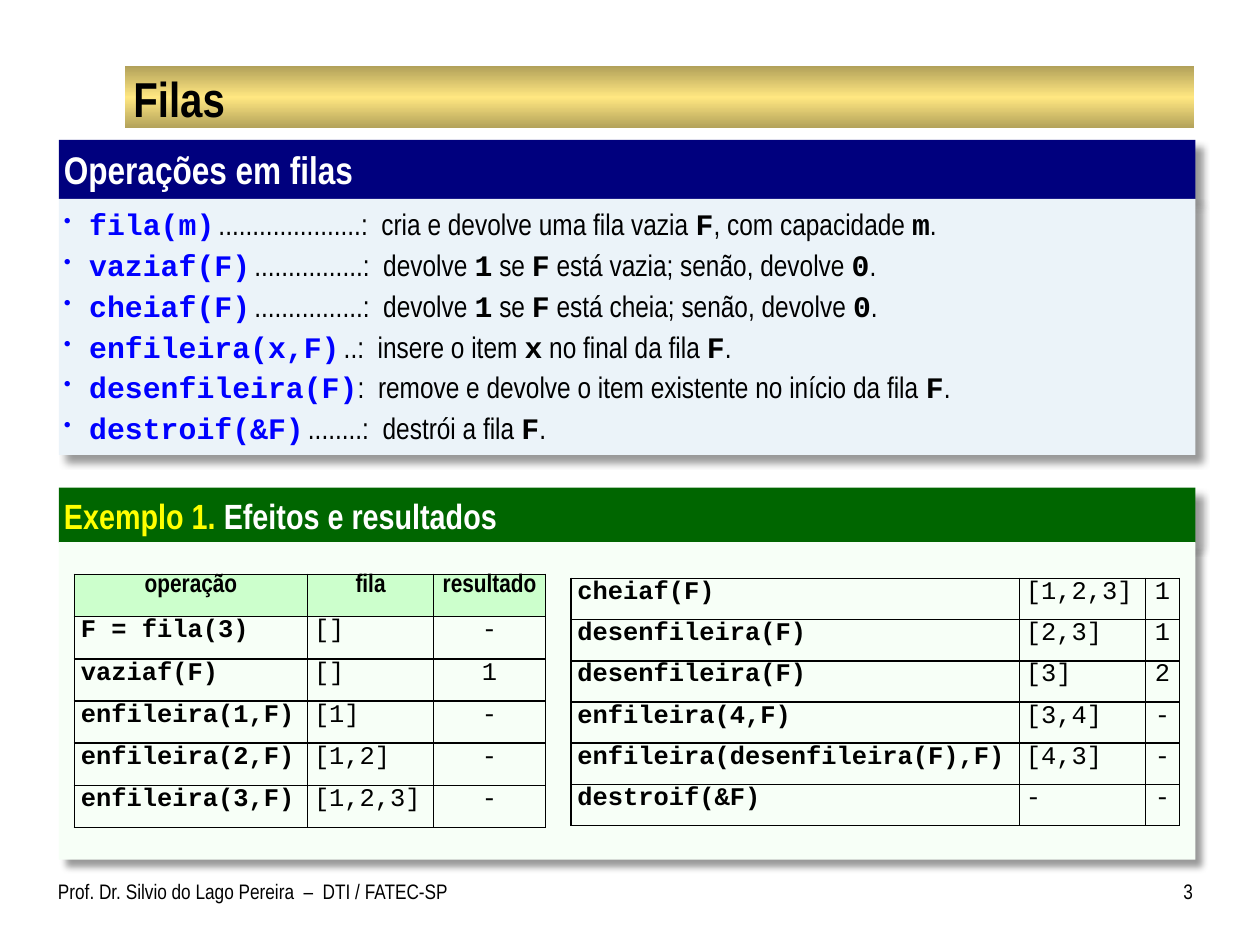
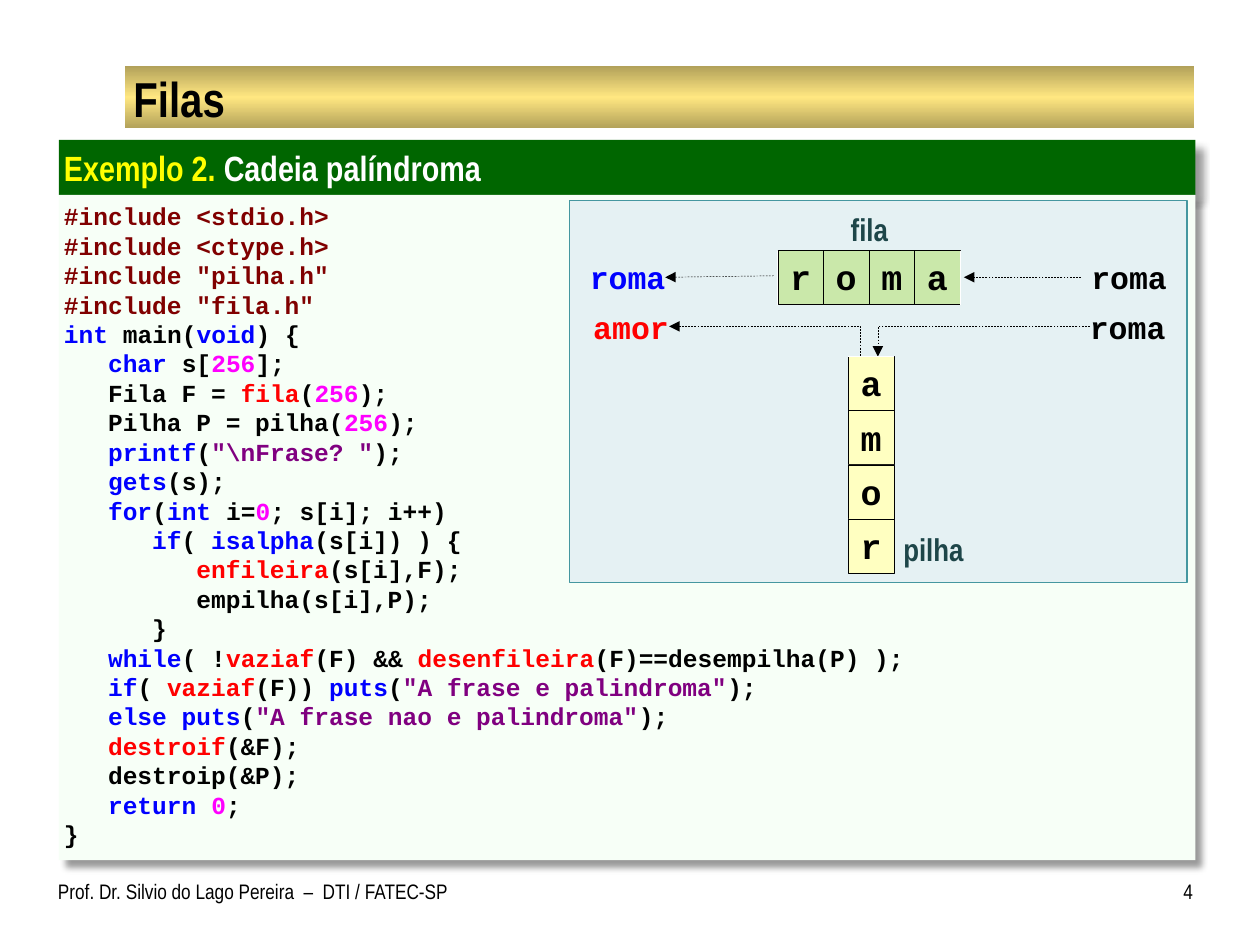
"""Builds two lecture slides about queues: operations with results, and a palindrome test."""
from dataclasses import dataclass, replace

from lxml.etree import SubElement
from pptx import Presentation
from pptx.dml.color import RGBColor
from pptx.enum.dml import MSO_LINE
from pptx.enum.shapes import MSO_CONNECTOR, MSO_SHAPE
from pptx.enum.text import MSO_ANCHOR, PP_ALIGN
from pptx.oxml.ns import qn
from pptx.util import Cm, Pt

BLACK = RGBColor(0x00, 0x00, 0x00)
WHITE = RGBColor(0xFF, 0xFF, 0xFF)
YELLOW = RGBColor(0xFF, 0xFF, 0x00)
BLUE = RGBColor(0x00, 0x00, 0xFF)
RED = RGBColor(0xFF, 0x00, 0x00)
MAGENTA = RGBColor(0xFF, 0x00, 0xFF)
PURPLE = RGBColor(0x80, 0x00, 0x80)
MAROON = RGBColor(0x80, 0x00, 0x00)
NAVY = RGBColor(0x00, 0x00, 0x7E)
PALE_BLUE = RGBColor(0xEB, 0xF3, 0xF9)
GREEN = RGBColor(0x00, 0x66, 0x00)
PALE_GREEN = RGBColor(0xF7, 0xFF, 0xF7)
HEADING_GREEN = RGBColor(0xCC, 0xFF, 0xCC)
DIAGRAM_FILL = RGBColor(0xE5, 0xF1, 0xF3)
DIAGRAM_LINE = RGBColor(0x45, 0x97, 0xA0)
DIAGRAM_TEXT = RGBColor(0x1E, 0x46, 0x49)
QUEUE_FILL = RGBColor(0xCA, 0xE8, 0xAA)
STACK_FILL = RGBColor(0xFF, 0xFF, 0xC1)
GOLD = RGBColor(0xFF, 0xE7, 0x81)
GOLD_SHADES = ((0, 70), (50, 100), (100, 70))

PANEL_LEFT, PANEL_WIDTH = 1.19, 22.91
CELL_WIDTH, CELL_HEIGHT = 0.92, 1.09
LABEL_WIDTH, LABEL_HEIGHT = 1.8, 0.76
CODE_INDENT = 0.89


@dataclass(frozen=True)
class Box:
    """Position and size in centimetres."""
    left: float
    top: float
    width: float
    height: float

    def lengths(self) -> tuple:
        return Cm(self.left), Cm(self.top), Cm(self.width), Cm(self.height)


@dataclass(frozen=True)
class TextStyle:
    """Font settings of a stretch of text."""
    name: str
    size: float
    color: RGBColor = BLACK
    bold: bool = False


@dataclass(frozen=True)
class Arrow:
    """Dashed arrow, straight or with one bend, pointing at its end or its start."""
    start: tuple[float, float]
    end: tuple[float, float]
    bent: bool = False
    head: str = "tailEnd"


@dataclass(frozen=True)
class Label:
    """Free word in the diagram."""
    text: str
    left: float
    top: float
    style: TextStyle


@dataclass(frozen=True)
class Grid:
    """Table of operations; its columns are in centimetres."""
    left: float
    top: float
    columns: tuple[float, ...]
    row_height: float
    rows: tuple[tuple[str, ...], ...]
    has_heading: bool = False


TITLE = TextStyle("Arial Narrow", 28, bold=True)
SECTION = TextStyle("Arial Narrow", 22, WHITE, True)
EXAMPLE = TextStyle("Arial Narrow", 20, WHITE, True)
FOOTER = TextStyle("Arial Narrow", 12)
BODY = TextStyle("Arial Narrow", 17)
BODY_CODE = TextStyle("Courier New", 17, bold=True)
CODE = TextStyle("Courier New", 14, bold=True)
TABLE_HEADING = TextStyle("Arial Narrow", 14.5, bold=True)
TABLE_CODE = TextStyle("Courier New", 14.5, bold=True)
WORD = TextStyle("Courier New", 18, bold=True)
CAPTION = TextStyle("Arial Narrow", 18, DIAGRAM_TEXT, True)
LETTER = TextStyle("Courier New", 20, bold=True)

EXAMPLE_MARKS = {"y": replace(EXAMPLE, color=YELLOW)}
BODY_MARKS = {"c": BODY_CODE, "b": replace(BODY_CODE, color=BLUE), "s": replace(BODY, size=10)}
CODE_MARKS = {"b": replace(CODE, color=BLUE), "n": replace(CODE, color=MAGENTA),
              "f": replace(CODE, color=RED), "s": replace(CODE, color=PURPLE),
              "p": replace(CODE, color=MAROON)}

OPERATIONS = (
    "`bfila(m)``s `.....................:  cria e devolve uma fila vazia `cF`, com capacidade `cm`.",
    "`bvaziaf(F)``s `................:  devolve `c1` se `cF` está vazia; senão, devolve `c0`.",
    "`bcheiaf(F)``s `................:  devolve `c1` se `cF` está cheia; senão, devolve `c0`.",
    "`benfileira(x,F)``s `..:  insere o item `cx` no final da fila `cF`.",
    "`bdesenfileira(F)`:  remove e devolve o item existente no início da fila `cF`.",
    "`bdestroif(&F)``s `........:  destrói a fila `cF`.",
)
GRIDS = (
    Grid(1.5, 11.58, (4.7, 2.54, 2.26), 0.85, (
        ("operação", "fila", "resultado"),
        ("F = fila(3)", "[]", "-"),
        ("vaziaf(F)", "[]", "1"),
        ("enfileira(1,F)", "[1]", "-"),
        ("enfileira(2,F)", "[1,2]", "-"),
        ("enfileira(3,F)", "[1,2,3]", "-")), True),
    Grid(11.51, 11.66, (9.04, 2.54, 0.69), 0.83, (
        ("cheiaf(F)", "[1,2,3]", "1"),
        ("desenfileira(F)", "[2,3]", "1"),
        ("desenfileira(F)", "[3]", "2"),
        ("enfileira(4,F)", "[3,4]", "-"),
        ("enfileira(desenfileira(F),F)", "[4,3]", "-"),
        ("destroif(&F)", "-", "-"))),
)
PROGRAM = (
    (0, "`p#include <stdio.h>`"),
    (0, "`p#include <ctype.h>`"),
    (0, '`p#include "pilha.h"`'),
    (0, '`p#include "fila.h"`'),
    (0, "`bint` main(`bvoid`) {"),
    (1, "`bchar` s[`n256`];"),
    (1, "Fila F = `ffila`(`n256`);"),
    (1, "Pilha P = pilha(`n256`);"),
    (1, '`bprintf`(`s"\\nFrase? "`);'),
    (1, "`bgets`(s);"),
    (1, "`bfor`(`bint `i=`n0`; s[i]; i++)"),
    (2, "`bif`( `bisalpha`(s[i]) ) {"),
    (3, "`fenfileira`(s[i],F);"),
    (3, "empilha(s[i],P);"),
    (2, "}"),
    (1, "`bwhile`( !`fvaziaf`(F) && `fdesenfileira`(F)==desempilha(P) );"),
    (1, '`bif`( `fvaziaf`(F)) `bputs`(`s"A frase e palindroma"`);'),
    (1, '`belse puts`(`s"A frase nao e palindroma"`);'),
    (1, "`fdestroif`(&F);"),
    (1, "destroip(&P);"),
    (1, "`breturn ``n0`;"),
    (0, "}"),
)
LABELS = (
    Label("roma", 22, 5.21, WORD),
    Label("roma", 11.89, 5.21, replace(WORD, color=BLUE)),
    Label("amor", 11.96, 6.2, replace(WORD, color=RED)),
    Label("roma", 21.97, 6.2, WORD),
    Label("pilha", 18.21, 10.69, CAPTION),
    Label("fila", 17.15, 4.24, CAPTION),
)
ARROWS = (
    Arrow((15.6, 5.56), (13.41, 5.59)),
    Arrow((21.79, 5.59), (19.43, 5.59)),
    Arrow((13.49, 6.58), (17.35, 7.19), bent=True, head="headEnd"),
    Arrow((21.97, 6.58), (17.7, 7.19), bent=True),
)


def add_element(parent, tag: str, **attributes):
    return SubElement(parent, qn(tag), {key: str(value) for key, value in attributes.items()})


def set_font(font, style: TextStyle) -> None:
    font.name, font.size, font.bold = style.name, Pt(style.size), style.bold
    font.color.rgb = style.color


def write(paragraph, text: str, style: TextStyle, marks: dict | None = None) -> None:
    pieces = text.split("`")
    if len(pieces) == 1:
        paragraph.text = text
        set_font(paragraph.font, style)
        return
    for index, piece in enumerate(pieces):
        if piece:
            run = paragraph.add_run()
            run.text = piece[1:] if index % 2 else piece
            set_font(run.font, marks[piece[0]] if index % 2 else style)


def set_frame(shape, insets: tuple, anchor=MSO_ANCHOR.TOP, wrap: bool = True):
    frame = shape.text_frame
    frame.margin_left, frame.margin_top, frame.margin_right, frame.margin_bottom = map(Cm, insets)
    frame.vertical_anchor, frame.word_wrap = anchor, wrap
    frame.paragraphs[0].alignment = PP_ALIGN.LEFT
    return frame


def next_paragraph(frame, index: int):
    paragraph = frame.add_paragraph() if index else frame.paragraphs[0]
    paragraph.alignment = PP_ALIGN.LEFT
    return paragraph


def add_rectangle(slide, box: Box, fill: RGBColor, line: RGBColor | None = None, width: float = 0.75):
    shape = slide.shapes.add_shape(MSO_SHAPE.RECTANGLE, *box.lengths())
    shape.shadow.inherit = False
    shape.fill.solid()
    shape.fill.fore_color.rgb = fill
    if line is None:
        shape.line.fill.background()
    else:
        shape.line.color.rgb, shape.line.width = line, Pt(width)
    return shape


def add_text(slide, box: Box, text: str, style: TextStyle, insets: tuple, wrap: bool = True):
    frame = set_frame(slide.shapes.add_textbox(*box.lengths()), insets, wrap=wrap)
    write(frame.paragraphs[0], text, style)
    return frame.paragraphs[0]


def add_panel(slide, top: float, height: float, fill: RGBColor):
    shape = add_rectangle(slide, Box(PANEL_LEFT, top, PANEL_WIDTH, height), fill)
    shadow = add_element(shape._element.spPr.find(qn("a:effectLst")), "a:outerShdw",
                         blurRad=Pt(4), dist=Pt(6), dir=45 * 60000, algn="tl", rotWithShape=0)
    add_element(add_element(shadow, "a:srgbClr", val=BLACK), "a:alpha", val=40000)
    return set_frame(shape, (0.1, 0.13, 0.1, 0.13))


def add_example_header(slide, top: float, text: str) -> None:
    write(add_panel(slide, top, 1.11, GREEN).paragraphs[0], text, EXAMPLE, EXAMPLE_MARKS)


def add_line(slide, start: tuple, end: tuple, color: RGBColor, width: float, kind=MSO_CONNECTOR.STRAIGHT):
    connector = slide.shapes.add_connector(kind, *map(Cm, (*start, *end)))
    connector.line.color.rgb, connector.line.width = color, Pt(width)
    add_element(connector._element.spPr, "a:effectLst")
    return connector


def add_arrow(slide, arrow: Arrow) -> None:
    kind = MSO_CONNECTOR.ELBOW if arrow.bent else MSO_CONNECTOR.STRAIGHT
    connector = add_line(slide, arrow.start, arrow.end, BLACK, 0.25, kind)
    connector.line.dash_style = MSO_LINE.DASH
    properties = connector._element.spPr
    if arrow.bent:
        properties.find(qn("a:prstGeom")).set("prst", "bentConnector2")
    add_element(properties.find(qn("a:ln")), f"a:{arrow.head}", type="triangle")


def add_letter(slide, left: float, top: float, letter: str, fill: RGBColor) -> None:
    shape = add_rectangle(slide, Box(left, top, CELL_WIDTH, CELL_HEIGHT), fill, BLACK, 0.25)
    paragraph = set_frame(shape, (0, 0.05, 0, 0.08), MSO_ANCHOR.MIDDLE).paragraphs[0]
    write(paragraph, letter, LETTER)
    paragraph.alignment = PP_ALIGN.CENTER


def fill_cell(cell, text: str, column: int, heading: bool) -> None:
    cell.margin_left = cell.margin_right = Cm(0.13)
    cell.margin_top = cell.margin_bottom = 0
    paragraph = cell.text_frame.paragraphs[0]
    paragraph.alignment = PP_ALIGN.CENTER if heading or column == 2 else PP_ALIGN.LEFT
    paragraph.space_before = Pt(1 if heading else 2)
    write(paragraph, text, TABLE_HEADING if heading else replace(TABLE_CODE, bold=column == 0))
    for side in "LRTB":
        border = add_element(cell._tc.get_or_add_tcPr(), f"a:ln{side}", w=Pt(1))
        add_element(add_element(border, "a:solidFill"), "a:srgbClr", val=BLACK)
    if heading:
        cell.fill.solid()
        cell.fill.fore_color.rgb = HEADING_GREEN
    else:
        cell.fill.background()


def add_grid(slide, grid: Grid) -> None:
    box = Box(grid.left, grid.top, sum(grid.columns), grid.row_height * len(grid.rows))
    table = slide.shapes.add_table(len(grid.rows), len(grid.columns), *box.lengths()).table
    table.first_row = table.horz_banding = False
    for column, width in zip(table.columns, grid.columns):
        column.width = Cm(width)
    for row_index, texts in enumerate(grid.rows):
        table.rows[row_index].height = Cm(grid.row_height)
        for column_index, text in enumerate(texts):
            fill_cell(table.cell(row_index, column_index), text, column_index,
                      grid.has_heading and row_index == 0)


def add_gold_band(slide) -> None:
    band = add_rectangle(slide, Box(2.52, 1.33, 21.55, 1.26), GOLD)
    band.fill.gradient()
    gradient = band._element.spPr.find(qn("a:gradFill"))
    stops = gradient.find(qn("a:gsLst"))
    stops.clear()
    for position, shade in GOLD_SHADES:
        color = add_element(add_element(stops, "a:gs", pos=position * 1000), "a:srgbClr", val=GOLD)
        if shade < 100:
            add_element(color, "a:gamma")
            add_element(color, "a:shade", val=shade * 1000)
            add_element(color, "a:invGamma")
    gradient.find(qn("a:lin")).set("ang", str(90 * 60000))
    slide.shapes._spTree.insert(2, band._element)


def add_lesson_slide(presentation, number: int):
    slide = presentation.slides.add_slide(presentation.slide_layouts[5])
    add_gold_band(slide)
    title = slide.shapes.title
    title.left, title.top, title.width, title.height = Box(2.54, 1.37, 21.51, 1.19).lengths()
    frame = set_frame(title, (0.15, 0.03, 0.15, 0.03), MSO_ANCHOR.MIDDLE)
    write(frame.paragraphs[0], "Filas", TITLE)
    add_text(slide, Box(1.17, 17.58, 8.31, 1.07), "Prof. Dr. Silvio do Lago Pereira  –  DTI / FATEC-SP",
             FOOTER, (0, 0.13, 0.25, 0.13), wrap=False)
    add_text(slide, Box(23.06, 17.58, 0.99, 1.07), str(number), FOOTER,
             (0.25, 0.13, 0, 0.13)).alignment = PP_ALIGN.RIGHT
    return slide


def build_operations(presentation) -> None:
    slide = add_lesson_slide(presentation, 3)
    write(add_panel(slide, 2.82, 1.19, NAVY).paragraphs[0], "Operações em filas", SECTION)
    frame = add_panel(slide, 4.01, 5.16, PALE_BLUE)
    for index, operation in enumerate(OPERATIONS):
        paragraph = next_paragraph(frame, index)
        paragraph.space_before = Pt(3 if index else 0)
        properties = paragraph._p.get_or_add_pPr()
        properties.set("marL", str(Cm(0.51)))
        properties.set("indent", str(-Cm(0.51)))
        add_element(properties, "a:buSzPct", val=70000)
        add_element(properties, "a:buChar", char="•")
        write(paragraph, operation, BODY, BODY_MARKS)
    add_example_header(slide, 9.83, "`yExemplo 1.` Efeitos e resultados")
    add_panel(slide, 10.93, 6.4, PALE_GREEN)
    for grid in GRIDS:
        add_grid(slide, grid)


def build_palindrome(presentation) -> None:
    slide = add_lesson_slide(presentation, 4)
    add_example_header(slide, 2.82, "`yExemplo 2.` Cadeia palíndroma")
    frame = add_panel(slide, 3.93, 13.41, PALE_GREEN)
    for index, (level, line) in enumerate(PROGRAM):
        paragraph = next_paragraph(frame, index)
        paragraph.line_spacing = Pt(16.8)
        paragraph._p.get_or_add_pPr().set("marL", str(Cm(CODE_INDENT * level)))
        write(paragraph, line, CODE, CODE_MARKS)
    add_rectangle(slide, Box(11.48, 4.04, 12.45, 7.7), DIAGRAM_FILL, DIAGRAM_LINE)
    for label in LABELS:
        box = Box(label.left, label.top, LABEL_WIDTH, LABEL_HEIGHT)
        add_text(slide, box, label.text, label.style, (0, 0, 0, 0))
    for arrow in ARROWS:
        add_arrow(slide, arrow)
    queue_left, queue_top, stack_left, stack_top = 15.68, 5.05, 17.1, 7.19
    for index, letter in enumerate("roma"):
        add_letter(slide, queue_left + index * CELL_WIDTH, queue_top, letter, QUEUE_FILL)
    for index, letter in enumerate("amor"):
        add_letter(slide, stack_left, stack_top + index * CELL_HEIGHT, letter, STACK_FILL)
    add_line(slide, (stack_left, stack_top), (stack_left + CELL_WIDTH, stack_top), WHITE, 0.75)
    for x in (queue_left, queue_left + 4 * CELL_WIDTH):
        add_line(slide, (x, queue_top), (x, queue_top + CELL_HEIGHT), WHITE, 0.75)


def main() -> None:
    presentation = Presentation()
    presentation.slide_width, presentation.slide_height = Cm(25.4), Cm(19.05)
    build_operations(presentation)
    build_palindrome(presentation)
    presentation.save("out.pptx")


if __name__ == "__main__":
    main()
